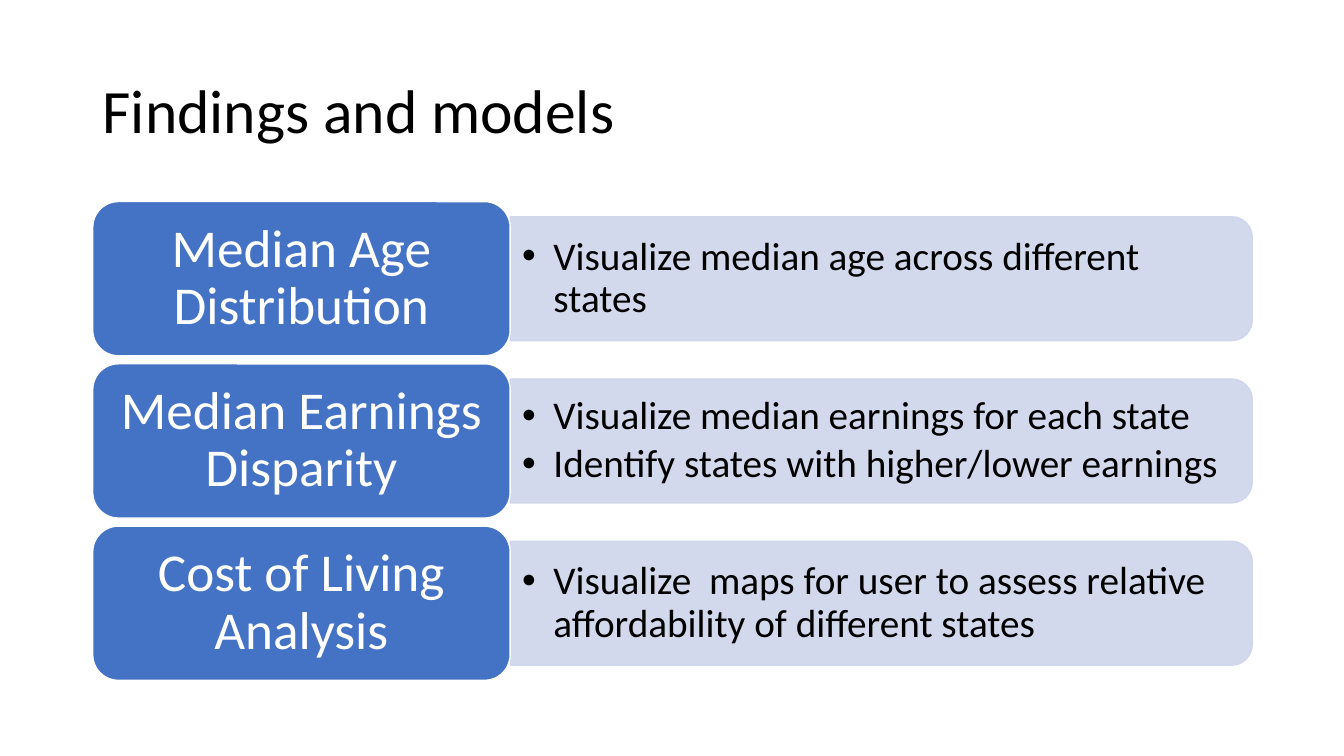
"""Build the "Findings and models" slide: three topics, each with its planned steps."""
from dataclasses import dataclass

from lxml import etree
from pptx import Presentation
from pptx import util as u
from pptx.dml.color import RGBColor
from pptx.enum import shapes, text
from pptx.oxml import ns


@dataclass(frozen=True)
class Theme:
    font: str = "Calibri"
    black: RGBColor = RGBColor(0x00, 0x00, 0x00)
    white: RGBColor = RGBColor(0xFF, 0xFF, 0xFF)
    topic: RGBColor = RGBColor(0x44, 0x72, 0xC4)
    band: RGBColor = RGBColor(0xCF, 0xD5, 0xEA)
    band_alpha: int = 90000
    title_size: int = 44
    topic_size: int = 38
    step_size: int = 28


theme = Theme()


def prepare_frame(frame, side=0.1, edge=0.05):
    frame.word_wrap = True
    frame.vertical_anchor = text.MSO_ANCHOR.MIDDLE
    frame.margin_left = frame.margin_right = u.Inches(side)
    frame.margin_top = frame.margin_bottom = u.Inches(edge)
    return frame


def write(paragraph, wording, size, color, align=text.PP_ALIGN.LEFT):
    paragraph.alignment = align
    paragraph.line_spacing = 0.9
    run = paragraph.add_run()
    run.text = wording
    run.font.name = theme.font
    run.font.size = u.Pt(size)
    run.font.color.rgb = color


findings = [
    ("Median Age Distribution", ["Visualize median age across different states"]),
    ("Median Earnings Disparity", ["Visualize median earnings for each state",
                                   "Identify states with higher/lower earnings"]),
    ("Cost of Living Analysis", ["Visualize  maps for user to assess relative "
                                 "affordability of different states"]),
]

deck = Presentation()
deck.slide_width, deck.slide_height = u.Inches(13.33), u.Inches(7.5)
slide = deck.slides.add_slide(deck.slide_layouts[6])

title = slide.shapes.add_textbox(u.Inches(0.92), u.Inches(0.4), u.Inches(11.5), u.Inches(1.45))
write(prepare_frame(title.text_frame).paragraphs[0], "Findings and models",
      theme.title_size, theme.black)

left, top, pitch = 0.92, 2, 1.61
topic_width, topic_height = 4.14, 1.53
band_left, band_length, band_height = left + topic_width, 7.36, 1.23
steps_width, steps_height = 7.3, 1.11

for row, (topic_name, steps) in enumerate(findings):
    row_top = top + row * pitch
    middle = row_top + topic_height / 2

    band = slide.shapes.add_shape(
        shapes.MSO_SHAPE.ROUND_2_SAME_RECTANGLE,
        u.Inches(band_left + (band_length - band_height) / 2),
        u.Inches(middle - band_length / 2),
        u.Inches(band_height), u.Inches(band_length))
    band.rotation = 90
    band.shadow.inherit = False
    band.fill.solid()
    band.fill.fore_color.rgb = theme.band
    band.line.color.rgb = theme.band
    band.line.width = u.Pt(1)
    for color in band.fill._xPr.iter(ns.qn("a:srgbClr")):
        etree.SubElement(color, ns.qn("a:alpha"), val=str(theme.band_alpha))

    step_list = slide.shapes.add_textbox(
        u.Inches(band_left), u.Inches(middle - steps_height / 2),
        u.Inches(steps_width), u.Inches(steps_height))
    frame = prepare_frame(step_list.text_frame, 0.12, 0.06)
    for number, step in enumerate(steps):
        paragraph = frame.add_paragraph() if number else frame.paragraphs[0]
        paragraph.level = 1
        paragraph.space_after = u.Pt(0.15 * theme.step_size)
        properties = paragraph._p.get_or_add_pPr()
        properties.set("marL", str(u.Inches(0.31)))
        properties.set("indent", str(u.Inches(-0.31)))
        etree.SubElement(properties, ns.qn("a:buFont"), typeface="Arial")
        etree.SubElement(properties, ns.qn("a:buChar"), char="•")
        write(paragraph, step, theme.step_size, theme.black)

    topic = slide.shapes.add_shape(
        shapes.MSO_SHAPE.ROUNDED_RECTANGLE, u.Inches(left), u.Inches(row_top),
        u.Inches(topic_width), u.Inches(topic_height))
    topic.shadow.inherit = False
    topic.fill.solid()
    topic.fill.fore_color.rgb = theme.topic
    topic.line.color.rgb = theme.white
    topic.line.width = u.Pt(1)
    write(prepare_frame(topic.text_frame, 0.16, 0.08).paragraphs[0], topic_name,
          theme.topic_size, theme.white, text.PP_ALIGN.CENTER)

deck.save("out.pptx")
